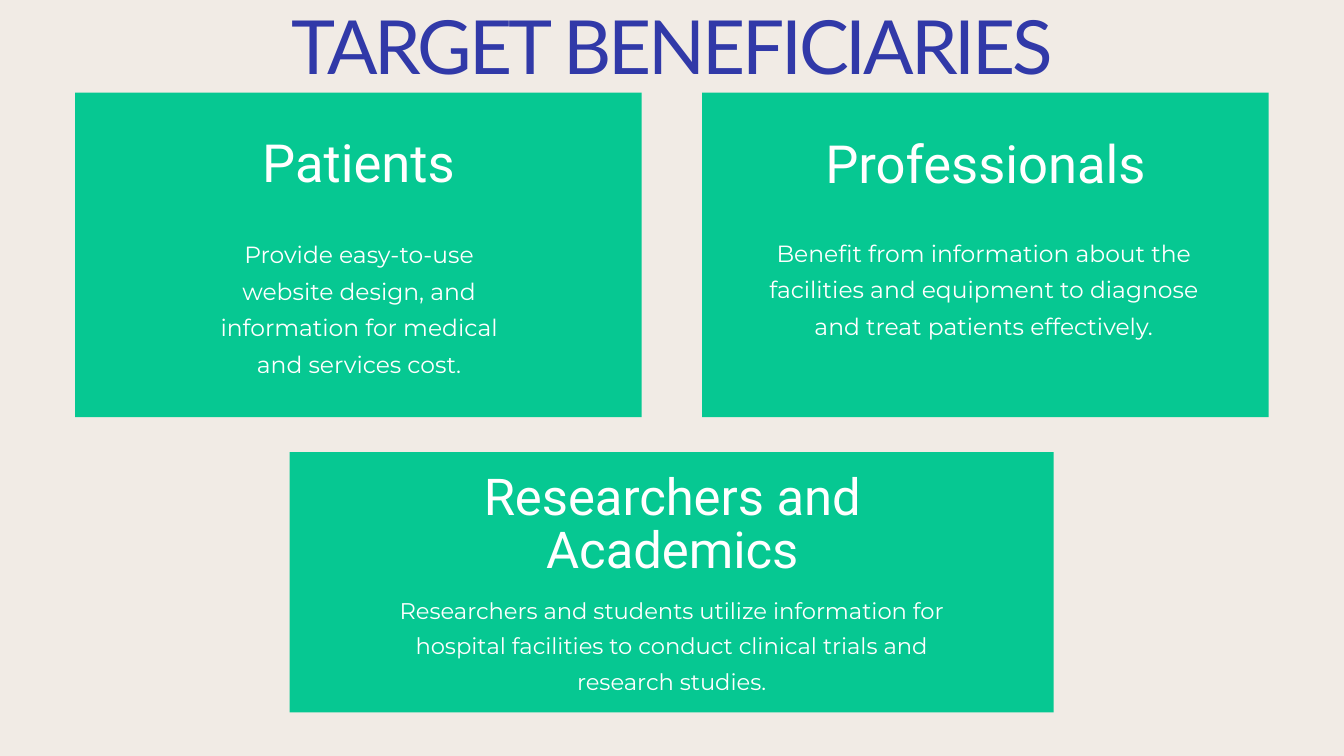
from dataclasses import dataclass

from pptx import Presentation
from pptx.dml.color import RGBColor
from pptx.enum import shapes, text
from pptx.util import Inches, Pt


@dataclass(frozen=True)
class Style:
    font: str
    size: float
    leading: float
    color: str = "FFFFFF"
    spacing: float = 0


@dataclass(frozen=True)
class Theme:
    background: str = "F1EBE5"
    card: str = "06C892"
    title: Style = Style("Lato", 80, 80, "3139A8", -3.4)
    heading: Style = Style("Roboto", 56.3, 58)
    body: Style = Style("Montserrat", 25.1, 39.2)
    wide_heading: Style = Style("Roboto", 54.4, 56)
    wide_body: Style = Style("Montserrat", 24.3, 37.9)


@dataclass(frozen=True)
class Box:
    left: float
    top: float
    width: float
    height: float

    def emu(self) -> tuple:
        return tuple(Inches(v) for v in (self.left, self.top, self.width, self.height))


@dataclass(frozen=True)
class Card:
    frame: Box
    heading: str
    heading_box: Box
    heading_style: Style
    body: str
    body_box: Box
    body_style: Style


THEME = Theme()
WIDTH, HEIGHT = 20, 11.25
TITLE_BOX = Box(2.71, 0.22, 14.59, 1.16)
CARD_W, CARD_H, CARD_TOP, MARGIN = 8.43, 4.83, 1.38, 1.12
RIGHT = WIDTH - MARGIN - CARD_W

CARDS = [
    Card(Box(4.31, 6.73, 11.37, 3.87),
         "Researchers and Academics", Box(5.93, 7.05, 8.15, 1.62), THEME.wide_heading,
         "Researchers and students utilize information for hospital facilities "
         "to conduct clinical trials and research studies.",
         Box(5.54, 8.76, 8.91, 1.53), THEME.wide_body),
    Card(Box(MARGIN, CARD_TOP, CARD_W, CARD_H),
         "Patients", Box(MARGIN, 2.07, CARD_W, 0.89), THEME.heading,
         "Provide easy-to-use website design, and information for medical "
         "and services cost.",
         Box(3.08, 3.45, 4.53, 2.11), THEME.body),
    Card(Box(RIGHT, CARD_TOP, CARD_W, CARD_H),
         "Professionals", Box(RIGHT, 2.08, CARD_W, 0.87), THEME.heading,
         "Benefit from information about the facilities and equipment to "
         "diagnose and treat patients effectively.",
         Box(11.25, 3.43, 6.78, 1.59), THEME.body),
]


def write(sp, content: str, style: Style) -> None:
    """Fill a shape with one centred paragraph, without insets."""
    tf = sp.text_frame
    tf.text = content
    tf.word_wrap = True
    tf.auto_size = text.MSO_AUTO_SIZE.NONE
    tf.vertical_anchor = text.MSO_ANCHOR.TOP
    tf.margin_left = tf.margin_right = tf.margin_top = tf.margin_bottom = 0
    p = tf.paragraphs[0]
    p.alignment = text.PP_ALIGN.CENTER
    p.line_spacing = Pt(style.leading)
    r = p.runs[0]
    r.font.name = style.font
    r.font.size = Pt(style.size)
    r.font.color.rgb = RGBColor.from_string(style.color)
    if style.spacing:
        r.font._element.set("spc", str(round(style.spacing * 100)))


def draw_title(s, content: str) -> None:
    sp = s.shapes.title
    sp.left, sp.top, sp.width, sp.height = TITLE_BOX.emu()
    write(sp, content, THEME.title)


def draw_card(s, card: Card) -> None:
    sp = s.shapes.add_shape(shapes.MSO_SHAPE.RECTANGLE, *card.frame.emu())
    sp.shadow.inherit = False
    sp.fill.solid()
    sp.fill.fore_color.rgb = RGBColor.from_string(THEME.card)
    sp.line.fill.background()
    write(s.shapes.add_textbox(*card.heading_box.emu()), card.heading, card.heading_style)
    write(s.shapes.add_textbox(*card.body_box.emu()), card.body, card.body_style)


def main() -> None:
    prs = Presentation()
    prs.slide_width, prs.slide_height = Inches(WIDTH), Inches(HEIGHT)
    s = prs.slides.add_slide(prs.slide_layouts[5])
    s.background.fill.solid()
    s.background.fill.fore_color.rgb = RGBColor.from_string(THEME.background)
    draw_title(s, "TARGET BENEFICIARIES")
    for card in CARDS:
        draw_card(s, card)
    prs.save("out.pptx")


if __name__ == "__main__":
    main()
